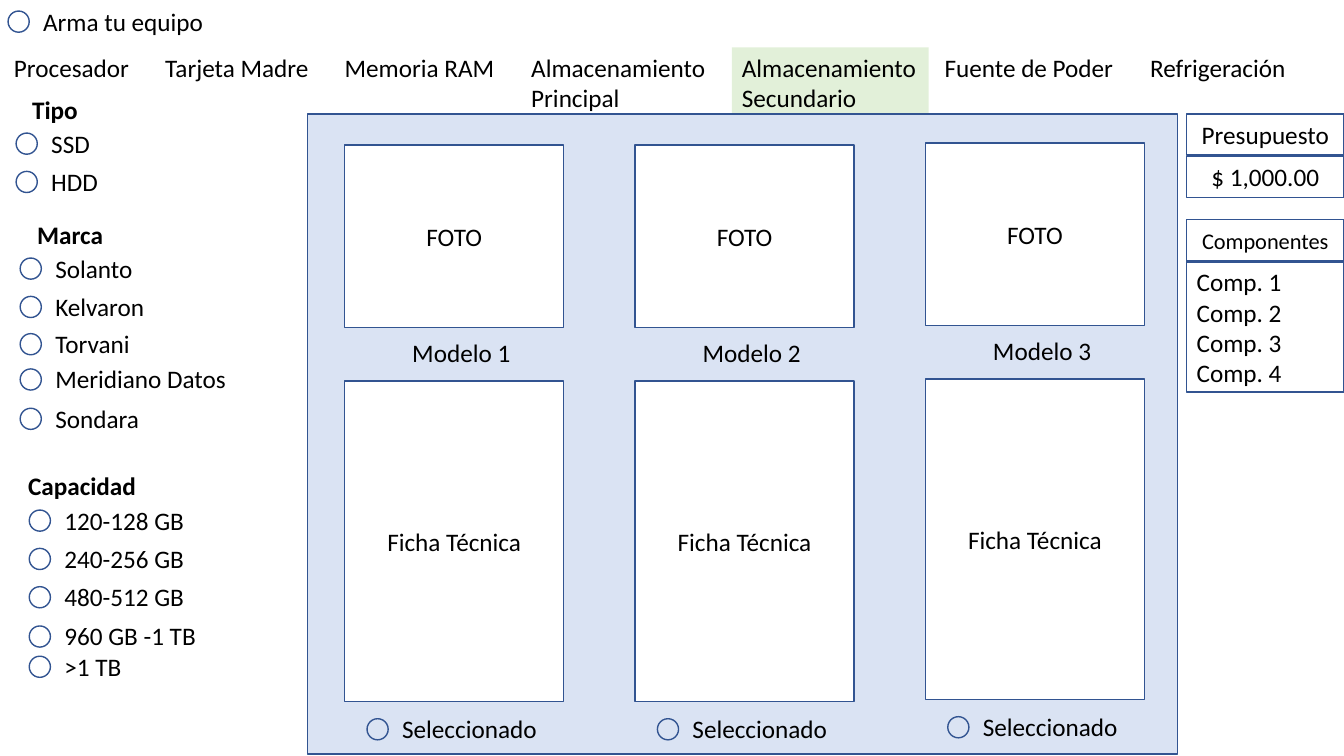
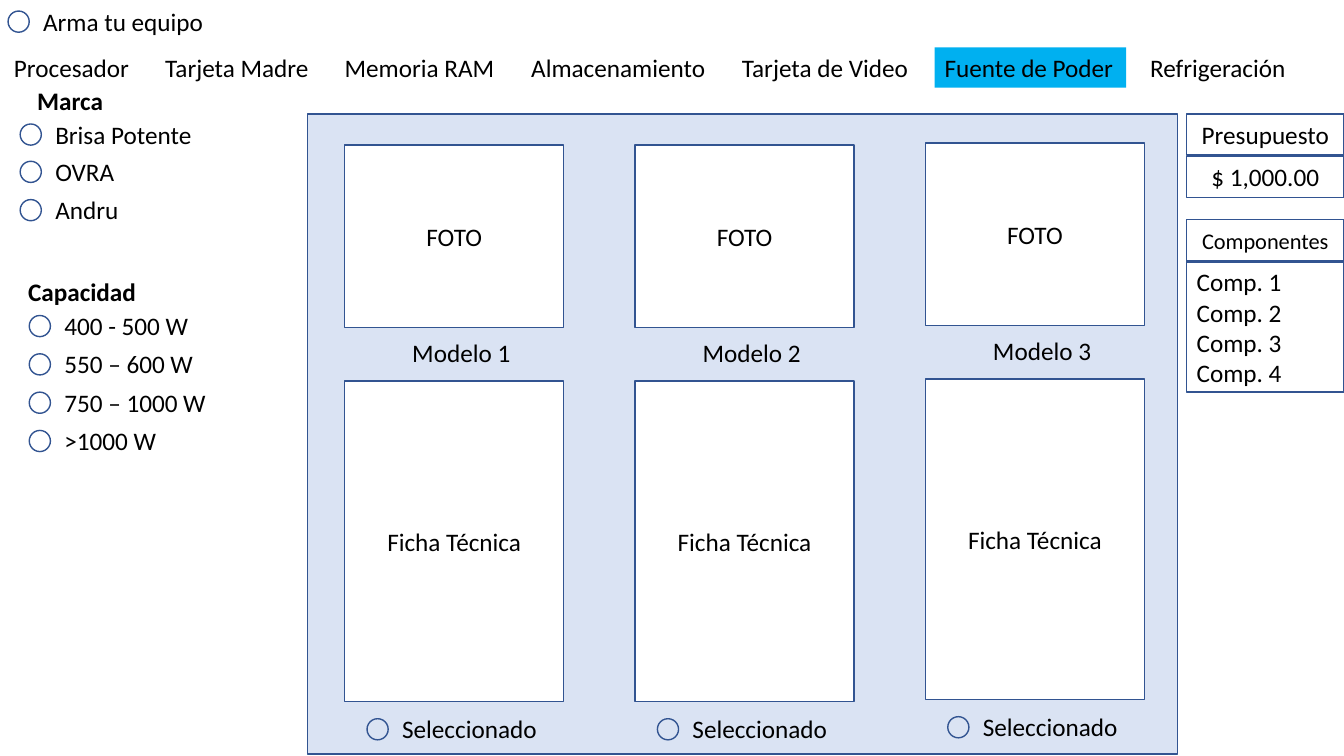
from pptx import Presentation
from pptx.dml.color import RGBColor
from pptx.enum.shapes import MSO_SHAPE
from pptx.enum.text import MSO_ANCHOR, MSO_AUTO_SIZE, PP_ALIGN
from pptx.util import Pt

RECT, OVAL = MSO_SHAPE.RECTANGLE, MSO_SHAPE.OVAL
LEFT, CENTER = PP_ALIGN.LEFT, PP_ALIGN.CENTER
TOP, MIDDLE = MSO_ANCHOR.TOP, MSO_ANCHOR.MIDDLE
GROW, FIXED = MSO_AUTO_SIZE.SHAPE_TO_FIT_TEXT, MSO_AUTO_SIZE.NONE
PX = 9144  # 100 px to the inch


class Theme:
    font = "Calibri"
    body, small, rule = 18, 16, 1
    ink, edge = "000000", "325491"
    panel, card = "DAE3F3", "FFFFFF"
    green, blue = "E2F0D9", "00B0F0"


def put(shapes, text, x, y, w, h=40, kind=None, fill=None, line=None,
        size=Theme.body, bold=False, align=LEFT, anchor=TOP, wrap=False):
    """Add a text box, or a preset shape when kind is given."""
    box = [v * PX for v in (x, y, w, h)]
    if kind is None:
        shape = shapes.add_textbox(*box)
    else:
        shape = shapes.add_shape(kind, *box)
        shape.shadow.inherit = False
        if fill:
            shape.fill.solid()
            shape.fill.fore_color.rgb = RGBColor.from_string(fill)
        else:
            shape.fill.background()
        if line:
            shape.line.color.rgb = RGBColor.from_string(line)
            shape.line.width = Pt(Theme.rule)
        else:
            shape.line.fill.background()
    if not text:
        return
    frame = shape.text_frame
    frame.text = text
    frame.word_wrap = wrap
    frame.auto_size = FIXED if wrap else GROW
    frame.vertical_anchor = anchor
    for para in frame.paragraphs:
        para.alignment = align
        font = para.runs[0].font
        font.name, font.size, font.bold = Theme.font, Pt(size), bold
        font.color.rgb = RGBColor.from_string(Theme.ink)


def radio(shapes, text, x, y):
    """Add a label with its option ring at the left."""
    pair = shapes.add_group_shape().shapes
    put(pair, "", x - 25, y + 10, 21, 21, kind=OVAL, line=Theme.edge)
    put(pair, text, x, y, 200, wrap=True)


FRAME = dict(kind=RECT, line=Theme.edge, anchor=MIDDLE, wrap=True)

# Tabs: left, width, text
ENDS = [(4, 135, "Procesador"), (154, 164, "Tarjeta Madre"),
        (332, 170, "Memoria RAM"), (927, 190, "Fuente de Poder"),
        (1131, 156, "Refrigeración")]

# Side boxes: top, height, text, size, alignment
SIDE = [(113, 41, "Presupuesto", Theme.body, CENTER),
        (155, 41, "$ 1,000.00", Theme.body, CENTER),
        (218, 41, "Componentes", Theme.small, CENTER),
        (260, 129, "Comp. 1\nComp. 2\nComp. 3\nComp. 4", Theme.body, LEFT)]

# Filters: title with left, top, width; option left; options with top
PAGES = [
    dict(
        tabs=[(517, 195, "Almacenamiento\nPrincipal"),
              (726, 195, "Almacenamiento\nSecundario")],
        active="Almacenamiento\nSecundario", tint=Theme.green,
        filters=[
            ("Tipo", 22, 89, 66, 41, [("SSD", 122), ("HDD", 160)]),
            ("Marca", 27, 213, 86, 45, [
                ("Solanto", 246), ("Kelvaron", 284), ("Torvani", 321),
                ("Meridiano Datos", 356), ("Sondara", 395)]),
            ("Capacidad", 18, 462, 128, 54, [
                ("120-128 GB", 496), ("240-256 GB", 534),
                ("480-512 GB", 572), ("960 GB -1 TB", 611),
                (">1 TB", 641)])]),
    dict(
        tabs=[(517, 195, "Almacenamiento"), (726, 187, "Tarjeta de Video")],
        active="Fuente de Poder", tint=Theme.blue,
        filters=[
            ("Marca", 27, 80, 86, 45, [
                ("Brisa Potente", 113), ("OVRA", 150), ("Andru", 188)]),
            ("Capacidad", 18, 269, 128, 54, [
                ("400 - 500 W", 303), ("550 – 600 W", 341),
                ("750 – 1000 W", 379), (">1000 W", 417)])]),
]

deck = Presentation()
deck.slide_width, deck.slide_height = 1333 * PX, 750 * PX

for page in PAGES:
    shapes = deck.slides.add_slide(deck.slide_layouts[6]).shapes
    radio(shapes, "Arma tu equipo", 33, 1)

    for x, w, text in ENDS + page["tabs"]:
        look = {}
        if text == page["active"]:
            look = dict(kind=RECT, fill=page["tint"])
        put(shapes, text, x, 47, w, 71 if "\n" in text else 40, **look)

    put(shapes, "", 305, 113, 863, 635, fill=Theme.panel, **FRAME)
    for i in range(3):
        x = 342 + 288 * i
        up = 2 if i == 2 else 0
        card = shapes.add_group_shape().shapes
        for text, y, h in (("Ficha Técnica", 378, 318), ("FOTO", 144, 181)):
            put(card, text, x, y - up, 217, h, fill=Theme.card,
                align=CENTER, **FRAME)
        put(card, f"Modelo {i + 1}", x + 57, 330 - up, 119)
        radio(card, "Seleccionado", x + 47, 703 - up)

    for title, x, y, w, left, options in page["filters"]:
        put(shapes, title, x, y, w, bold=True)
        for text, top in options:
            radio(shapes, text, left, top)

    for y, h, text, size, align in SIDE:
        put(shapes, text, 1177, y, 156, h, size=size, align=align, **FRAME)

deck.save("out.pptx")
